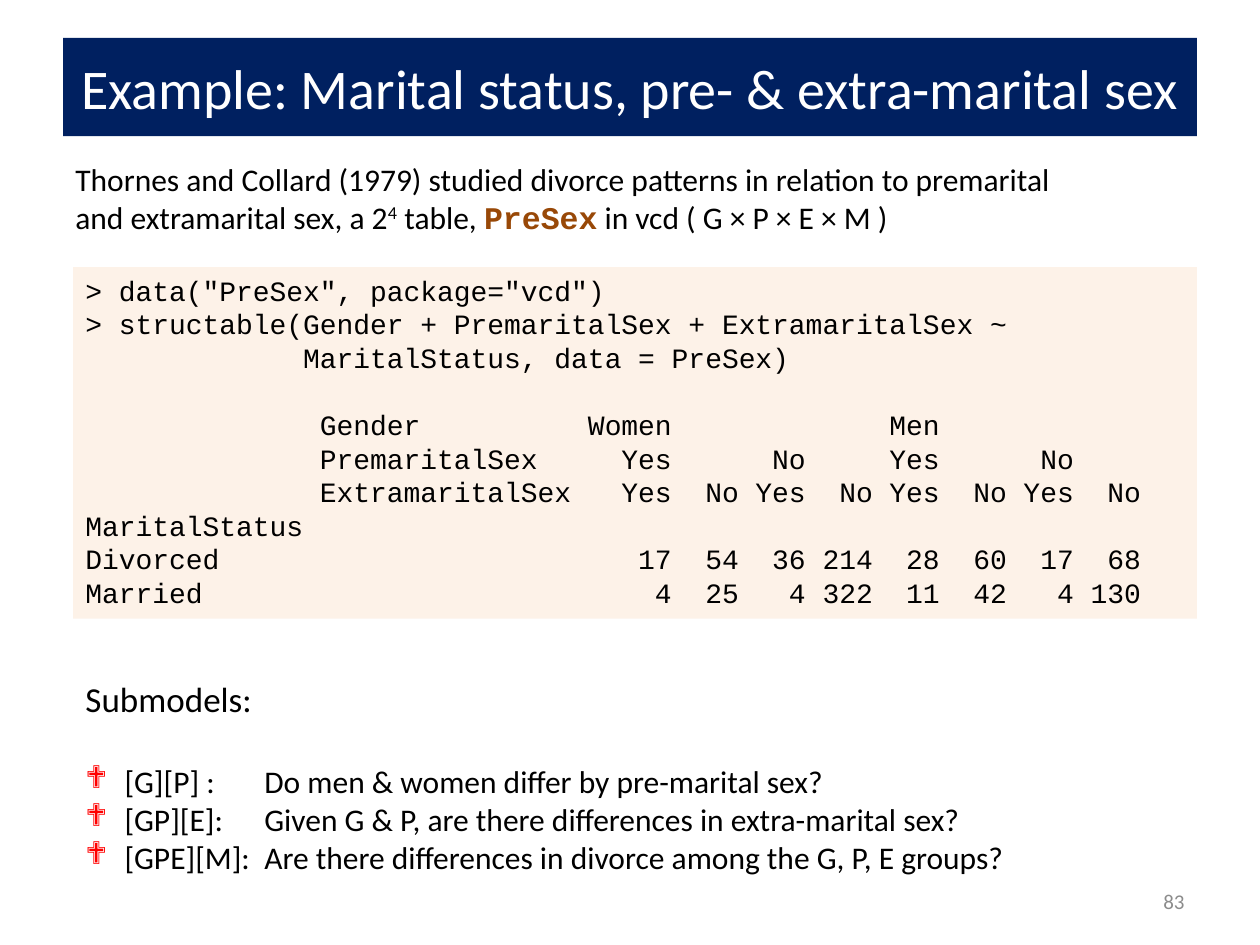
from lxml import etree
from pptx import Presentation
from pptx.dml.color import RGBColor
from pptx.enum import shapes, text
from pptx.oxml import ns
from pptx.util import Inches, Pt

COLORS = {
    "navy": "002060", "white": "FFFFFF", "black": "000000", "gray": "8C8C8C",
    "brown": "984807", "peach": "FDEADA", "red": "FF0000",
}
BODY_FONT, CODE_FONT = "Calibri", "Courier New"
LEFT, RIGHT, CODE_LEFT = 0.5, 9.5, 0.58
CODE_WIDTH = RIGHT - CODE_LEFT

TITLE = "Example: Marital status, pre- & extra-marital sex"
INTRO = [
    [("Thornes and Collard (1979) studied divorce patterns in relation to premarital", "plain")],
    [("and extramarital sex, a 2", "plain"), ("4", "super"), (" table, ", "plain"),
     ("PreSex", "code"), (" in vcd ( G × P × E × M )", "plain")],
]
COMMANDS = [
    '> data("PreSex", package="vcd")',
    "> structable(Gender + PremaritalSex + ExtramaritalSex ~",
    "             MaritalStatus, data = PreSex)",
]
OUTPUT = [
    "              Gender          Women             Men",
    "              PremaritalSex     Yes      No     Yes      No",
    "              ExtramaritalSex   Yes  No Yes  No Yes  No Yes  No",
    "MaritalStatus",
    "Divorced                         17  54  36 214  28  60  17  68",
    "Married                           4  25   4 322  11  42   4 130",
]
SUBMODELS = [
    ("[G][P] :", "Do men & women differ by pre-marital sex?"),
    ("[GP][E]:", "Given G & P, are there differences in extra-marital sex?"),
    ("[GPE][M]:", "Are there differences in divorce among the G, P, E groups?"),
]
PAGE_NUMBER = "83"


def rgb(name):
    return RGBColor.from_string(COLORS[name])


def style(font, size, color="black", name=BODY_FONT):
    font.size, font.name = Pt(size), name
    font.color.rgb = rgb(color)


def place(shape, left, top, width, height):
    shape.left, shape.top = Inches(left), Inches(top)
    shape.width, shape.height = Inches(width), Inches(height)


def add_text(page, left, top, width, height, anchor=text.MSO_ANCHOR.TOP):
    box = page.shapes.add_textbox(*map(Inches, (left, top, width, height)))
    box.text_frame.word_wrap = True
    box.text_frame.vertical_anchor = anchor
    return box.text_frame


def add_bullet(para):
    props = para._p.get_or_add_pPr()
    props.set("marL", str(Inches(0.31)))
    props.set("indent", str(-Inches(0.31)))
    color = etree.SubElement(props, ns.qn("a:buClr"))
    etree.SubElement(color, ns.qn("a:srgbClr"), val=COLORS["red"])
    etree.SubElement(props, ns.qn("a:buFont"), typeface="Wingdings")
    etree.SubElement(props, ns.qn("a:buChar"), char="❖")
    tabs = etree.SubElement(props, ns.qn("a:tabLst"))
    etree.SubElement(tabs, ns.qn("a:tab"), pos=str(Inches(1.42)), algn="l")


def add_title(page):
    title = page.shapes.title
    place(title, LEFT, 0.3, RIGHT - LEFT, 0.78)
    title.fill.solid()
    title.fill.fore_color.rgb = rgb("navy")
    frame = title.text_frame
    frame.text = TITLE
    frame.vertical_anchor = text.MSO_ANCHOR.MIDDLE
    frame.paragraphs[0].alignment = text.PP_ALIGN.CENTER
    style(frame.paragraphs[0].runs[0].font, 32, "white")


def add_intro(page):
    frame = add_text(page, LEFT, 1.22, RIGHT - LEFT, 0.71)
    frame.text = "\n".join([""] * len(INTRO))
    for para, parts in zip(frame.paragraphs, INTRO):
        for wording, kind in parts:
            span = para.add_run()
            span.text = wording
            style(span.font, 18)
            if kind == "super":
                span.font._element.set("baseline", "30000")
            elif kind == "code":
                style(span.font, 18, "brown", CODE_FONT)
                span.font.bold = True


def add_code(page):
    box = page.shapes.add_shape(shapes.MSO_SHAPE.RECTANGLE, 0, 0, 0, 0)
    place(box, CODE_LEFT, 2.12, CODE_WIDTH, 2.79)
    box.shadow.inherit = False
    box.line.fill.background()
    box.fill.solid()
    box.fill.fore_color.rgb = rgb("peach")
    color = box.fill._xPr.find(".//" + ns.qn("a:srgbClr"))
    etree.SubElement(color, ns.qn("a:alpha"), val="60000")
    frame = box.text_frame
    frame.word_wrap = True
    frame.vertical_anchor = text.MSO_ANCHOR.TOP
    frame.text = "\n".join(COMMANDS + OUTPUT)
    for para in frame.paragraphs:
        para.alignment = text.PP_ALIGN.LEFT
        para.line_spacing = Pt(19.2)
        style(para.runs[0].font, 16, name=CODE_FONT)
    frame.paragraphs[len(COMMANDS)].space_before = Pt(19.2)


def add_submodels(page):
    frame = add_text(page, CODE_LEFT, 5.33, CODE_WIDTH, 1.68)
    frame.text = "Submodels:"
    style(frame.paragraphs[0].runs[0].font, 20)
    for index, (model, question) in enumerate(SUBMODELS):
        para = frame.add_paragraph()
        para.text = f"{model}\t{question}"
        add_bullet(para)
        if index == 0:
            para.space_before = Pt(24.4)
        for span in para.runs:
            style(span.font, 18)


def add_page_number(page):
    frame = add_text(page, 7.17, 6.95, 2.33, 0.4, text.MSO_ANCHOR.MIDDLE)
    frame.text = PAGE_NUMBER
    frame.paragraphs[0].alignment = text.PP_ALIGN.RIGHT
    style(frame.paragraphs[0].runs[0].font, 12, "gray")


def main():
    deck = Presentation()
    deck.slide_width, deck.slide_height = Inches(10), Inches(7.5)
    page = deck.slides.add_slide(deck.slide_layouts[5])
    for add_part in (add_title, add_page_number, add_intro, add_code, add_submodels):
        add_part(page)
    deck.save("out.pptx")


if __name__ == "__main__":
    main()
